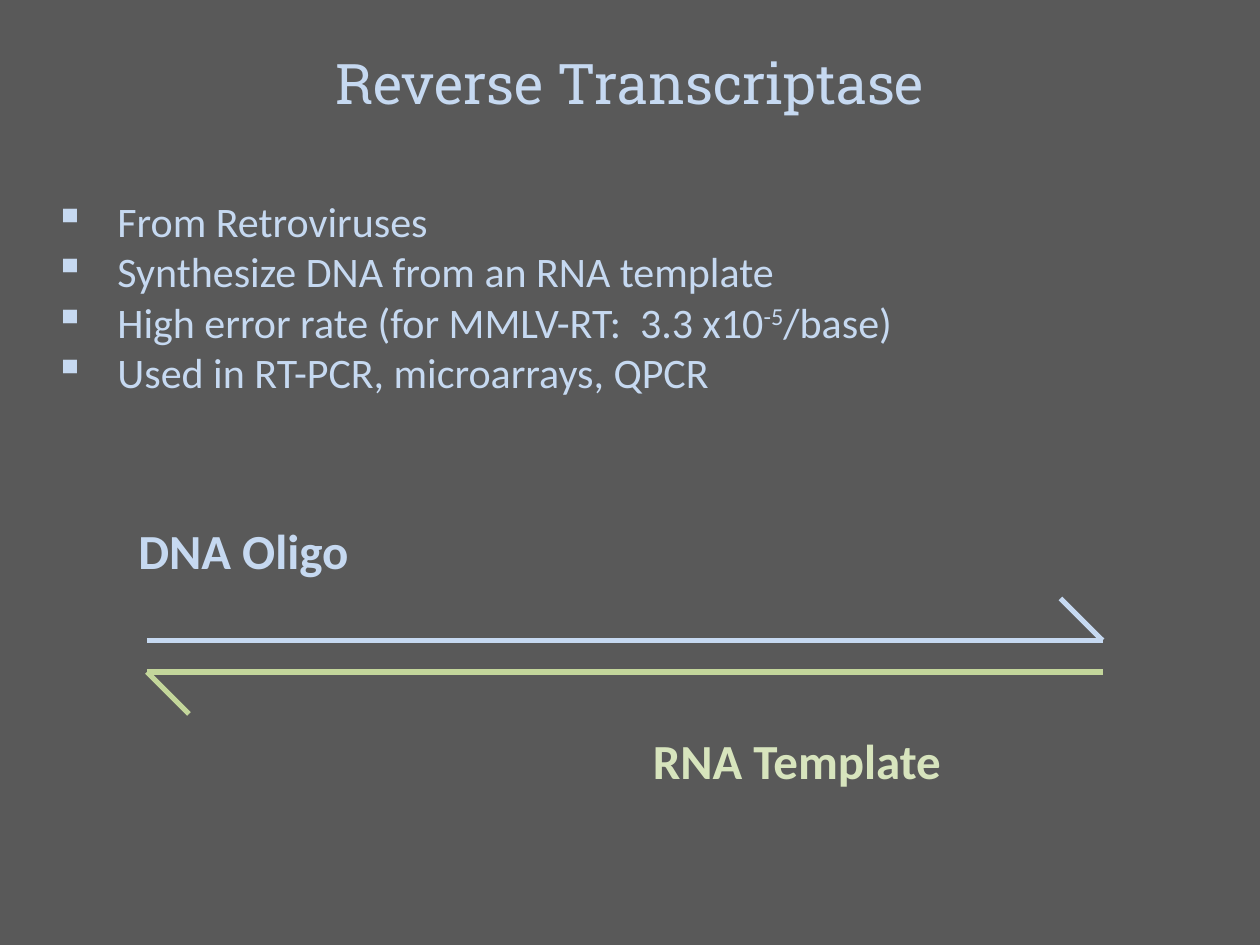
"""Build a slide on reverse transcriptase with a primer and template diagram."""
from lxml import etree
from pptx import Presentation
from pptx.dml.color import RGBColor
from pptx.enum.shapes import MSO_CONNECTOR
from pptx.enum.text import PP_ALIGN
from pptx.oxml.ns import qn
from pptx.util import Inches, Pt

STRAIGHT = MSO_CONNECTOR.STRAIGHT
CENTER = PP_ALIGN.CENTER
GREY = RGBColor(0x59, 0x59, 0x59)
BLUE = RGBColor(0xC6, 0xD9, 0xF1)
GREEN = RGBColor(0xC3, 0xD6, 0x9B)
PALE_GREEN = RGBColor(0xD7, 0xE4, 0xBD)

WIDTH, HEIGHT = 10, 7.5
COLS, ROWS = 30, 22.5
TITLE = {"name": "Roboto Slab", "size": Pt(32)}
BODY = {"name": "Calibri", "size": Pt(24)}
LABEL = {"name": "Calibri", "size": Pt(28), "bold": True}
BULLETS = [
    ["From Retroviruses"],
    ["Synthesize DNA from an RNA template"],
    ["High error rate (for MMLV-RT:  3.3 x10", "-5", "/base)"],
    ["Used in RT-PCR, microarrays, QPCR"],
]


def x(col):
    return Inches(WIDTH * col / COLS)


def y(row):
    return Inches(HEIGHT * row / ROWS)


def add_run(p, text, fmt, color):
    r = p.add_run()
    r.text = text
    for name, value in fmt.items():
        setattr(r.font, name, value)
    r.font.color.rgb = color
    return r


def add_box(s, col, row, cols, rows, wrap=True):
    tf = s.shapes.add_textbox(x(col), y(row), x(cols), y(rows)).text_frame
    tf.word_wrap = wrap
    return tf


def add_text(s, box, text, fmt, color, align=None, wrap=False):
    p = add_box(s, *box, wrap=wrap).paragraphs[0]
    p.alignment = align
    add_run(p, text, fmt, color)


def set_bullet(p):
    pPr = p._p.get_or_add_pPr()
    indent = Inches(0.5)
    pPr.set("marL", str(indent))
    pPr.set("indent", str(-indent))
    etree.SubElement(pPr, qn("a:buChar")).set("char", "▪")


def add_bullets(s, box, items):
    tf = add_box(s, *box)
    for i, parts in enumerate(items):
        p = tf.paragraphs[0] if i == 0 else tf.add_paragraph()
        set_bullet(p)
        for j, text in enumerate(parts):
            r = add_run(p, text, BODY, BLUE)
            if j % 2:
                r.font._element.set("baseline", "30000")


def add_line(s, start, end, color):
    line = s.shapes.add_connector(STRAIGHT, x(start[0]), y(start[1]), x(end[0]), y(end[1]))
    line.line.color.rgb = color
    line.line.width = Pt(3)
    etree.SubElement(line._element.spPr, qn("a:effectLst"))


def add_strand(s, tail, tip, color):
    """Draw a strand with a half arrowhead one grid cell in size at its tip."""
    step = 1 if tip[0] < tail[0] else -1
    add_line(s, tail, tip, color)
    add_line(s, tip, (tip[0] + step, tip[1] + step), color)


def main():
    prs = Presentation()
    prs.slide_width, prs.slide_height = Inches(WIDTH), Inches(HEIGHT)
    s = prs.slides.add_slide(prs.slide_layouts[6])
    s.background.fill.solid()
    s.background.fill.fore_color.rgb = GREY

    add_text(s, (0, 1, COLS, 1.92), "Reverse Transcriptase", TITLE, BLUE, CENTER, True)
    left, right = 3.5, 26.25
    add_strand(s, (right, 16), (left, 16), GREEN)
    add_strand(s, (left, 15.25), (right, 15.25), BLUE)
    add_bullets(s, (1, 4.5, 24.75, 6.36), BULLETS)
    add_text(s, (3, 12.25, 5.67, 1.71), "DNA Oligo", LABEL, BLUE)
    add_text(s, (15.25, 17.25, 7.56, 1.71), "RNA Template", LABEL, PALE_GREEN)
    prs.save("out.pptx")


if __name__ == "__main__":
    main()
